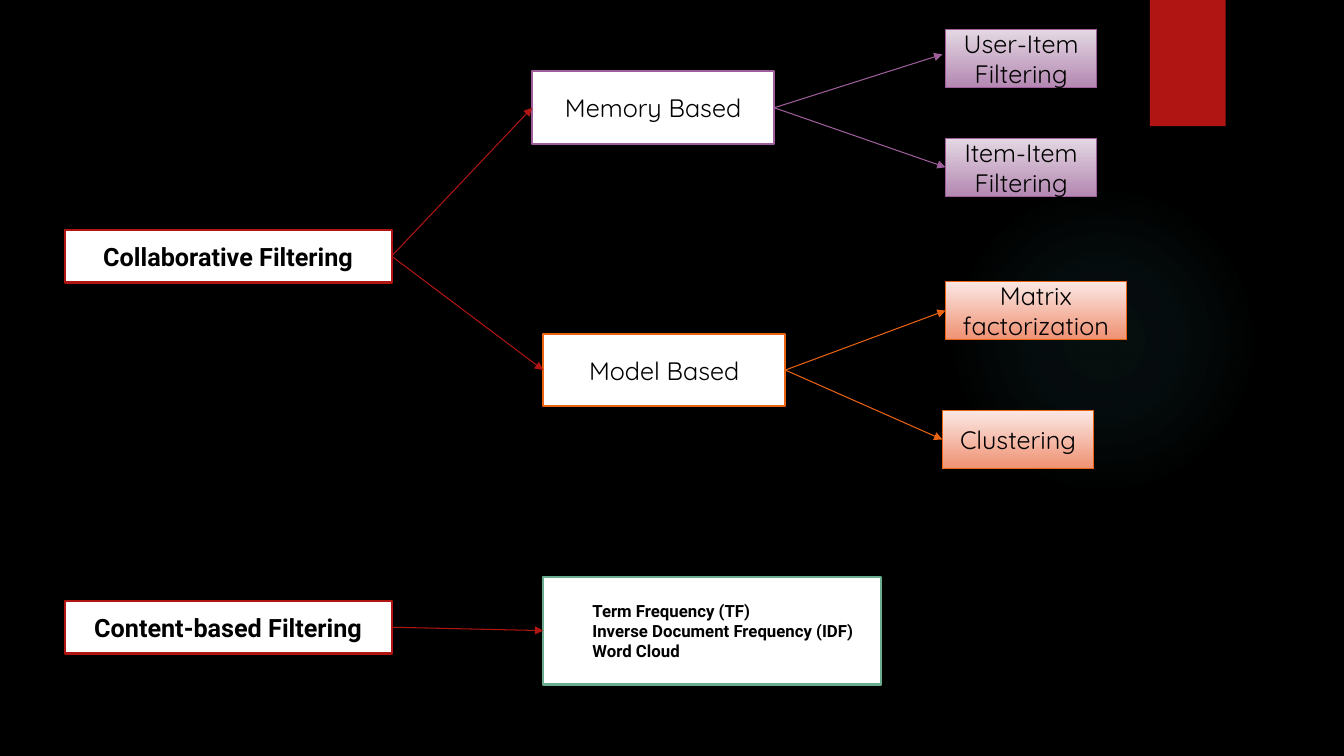
from lxml import etree
from pptx import Presentation
from pptx import util as u
from pptx.dml.color import RGBColor
from pptx.enum import shapes, text
from pptx.oxml import parse_xml
from pptx.oxml.ns import nsdecls, qn

COLORS = {
    "black": "000000", "white": "FFFFFF", "red": "B01513", "purple": "9E5E9B",
    "orange": "EA6312", "green": "6AAC90", "glow": "50B9C1",
}
GRADIENTS = {"purple": ("E4D8E3", "B488B2"), "orange": ("FBE8E4", "EF9173")}
GLOW_STOPS = ((0, 7), (36, 6), (69, 0))
METHODS = (
    ("Memory Based", "purple", 11.78, 1.06, (
        (("User-Item", "Filtering"), 22.2, 0, 3.81, (22.12, 0.63)),
        (("Item-Item", "Filtering"), 22.2, 2.74, 3.81, None))),
    ("Model Based", "orange", 12.06, 7.67, (
        (("Matrix factorization",), 22.2, 6.35, 4.55, None),
        (("Clustering",), 22.12, 9.6, 3.81, None))),
)
TERMS = ("Term Frequency (TF)", "Inverse Document Frequency (IDF)", "Word Cloud")


def rgb(name):
    """Return the named colour."""
    return RGBColor.from_string(COLORS[name])


def write(shape, lines, font, size, bold=False, align=None):
    """Write one paragraph per line and format its runs."""
    frame = shape.text_frame
    frame.word_wrap = True
    frame.text = "\n".join(lines)
    for para in frame.paragraphs:
        para.alignment = align
        for span in para.runs:
            span.font.name = font
            span.font.size = u.Pt(size)
            span.font.bold = bold
            span.font.color.rgb = rgb("black")


def add_box(slide, box, fill, line=None, width=1.5, kind=shapes.MSO_SHAPE.RECTANGLE):
    """Add a flat shape with a solid fill and an optional outline."""
    shape = slide.shapes.add_shape(kind, *map(u.Cm, box))
    shape.shadow.inherit = False
    shape.fill.solid()
    shape.fill.fore_color.rgb = rgb(fill)
    if line:
        shape.line.color.rgb = rgb(line)
        shape.line.width = u.Pt(width)
    else:
        shape.line.fill.background()
    return shape


def add_node(slide, box, lines, line, width=1.5, font="Quicksand", bold=False):
    """Add a white box with centred text."""
    node = add_box(slide, box, "white", line, width)
    node.text_frame.vertical_anchor = text.MSO_ANCHOR.MIDDLE
    write(node, lines, font, 18, bold, text.PP_ALIGN.CENTER)
    return node


def add_leaf(slide, box, lines, color):
    """Add a small box with a vertical gradient."""
    leaf = add_node(slide, box, lines, color, 0.75)
    leaf.fill.gradient()
    leaf.fill.gradient_angle = 270
    for stop, shade in zip(leaf.fill.gradient_stops, GRADIENTS[color]):
        stop.color.rgb = RGBColor.from_string(shade)
    return leaf


def add_arrow(slide, start, end, color, tip=None):
    """Draw an arrow from the right side of start to the left side of end, or to tip."""
    arrow = slide.shapes.add_connector(
        shapes.MSO_CONNECTOR.STRAIGHT, 0, 0, *map(u.Cm, tip or (0, 0)))
    arrow.begin_connect(start, 3)
    if not tip:
        arrow.end_connect(end, 1)
    arrow.line.color.rgb = rgb(color)
    arrow.line.width = u.Pt(0.75)
    etree.SubElement(arrow.line._get_or_add_ln(), qn("a:tailEnd"), type="triangle")
    etree.SubElement(arrow._element.spPr, qn("a:effectLst"))


def draw_backdrop(slide, glow_box, ribbon_box):
    """Paint the black background, the faint round glow and the red ribbon."""
    slide.background.fill.solid()
    slide.background.fill.fore_color.rgb = rgb("black")
    glow = add_box(slide, glow_box, "glow", kind=shapes.MSO_SHAPE.OVAL)
    stops = "".join(
        f'<a:gs pos="{pos * 1000}"><a:srgbClr val="{COLORS["glow"]}">'
        f'<a:alpha val="{alpha * 1000}"/></a:srgbClr></a:gs>'
        for pos, alpha in GLOW_STOPS)
    properties = glow._element.spPr
    properties.replace(properties.find(qn("a:solidFill")), parse_xml(
        f'<a:gradFill {nsdecls("a")}><a:gsLst>{stops}</a:gsLst><a:path path="circle">'
        '<a:fillToRect l="50000" t="50000" r="50000" b="50000"/></a:path></a:gradFill>'))
    add_box(slide, ribbon_box, "red")


def draw_collaborative(slide, left, top):
    """Draw the collaborative filtering tree from its top left corner."""
    root = add_node(slide, (left, top + 5.05, 8.24, 1.33),
                    ["Collaborative Filtering"], "red", font="Roboto", bold=True)
    for name, color, x, y, leaves in METHODS:
        method = add_node(slide, (left + x, top + y, 6.1, 1.83), [name], color)
        add_arrow(slide, root, method, "red")
        for lines, leaf_x, leaf_y, width, tip in leaves:
            leaf = add_leaf(slide, (left + leaf_x, top + leaf_y, width, 1.47), lines, color)
            end = (left + tip[0], top + tip[1]) if tip else None
            add_arrow(slide, method, leaf, color, end)


def draw_content_based(slide, left, top):
    """Draw the content-based filtering row from its top left corner."""
    panel = add_box(slide, (left + 12.06, top, 8.51, 2.72), "white", "green")
    root = add_node(slide, (left, top + 0.61, 8.24, 1.33),
                    ["Content-based Filtering"], "red", font="Roboto", bold=True)
    terms = slide.shapes.add_textbox(*map(u.Cm, (left + 13.05, top + 0.48, 9.63, 1.8)))
    write(terms, TERMS, "Roboto", 12, True)
    add_arrow(slide, root, panel, "red")


def main():
    """Build and save the deck."""
    deck = Presentation()
    deck.slide_width, deck.slide_height = u.Cm(33.87), u.Cm(19.05)
    slide = deck.slides.add_slide(deck.slide_layouts[6])
    draw_backdrop(slide, (23.9, 4.65, 7.82, 7.82), (28.98, 0, 1.91, 3.18))
    draw_collaborative(slide, 1.63, 0.74)
    draw_content_based(slide, 1.63, 14.53)
    deck.save("out.pptx")


if __name__ == "__main__":
    main()
